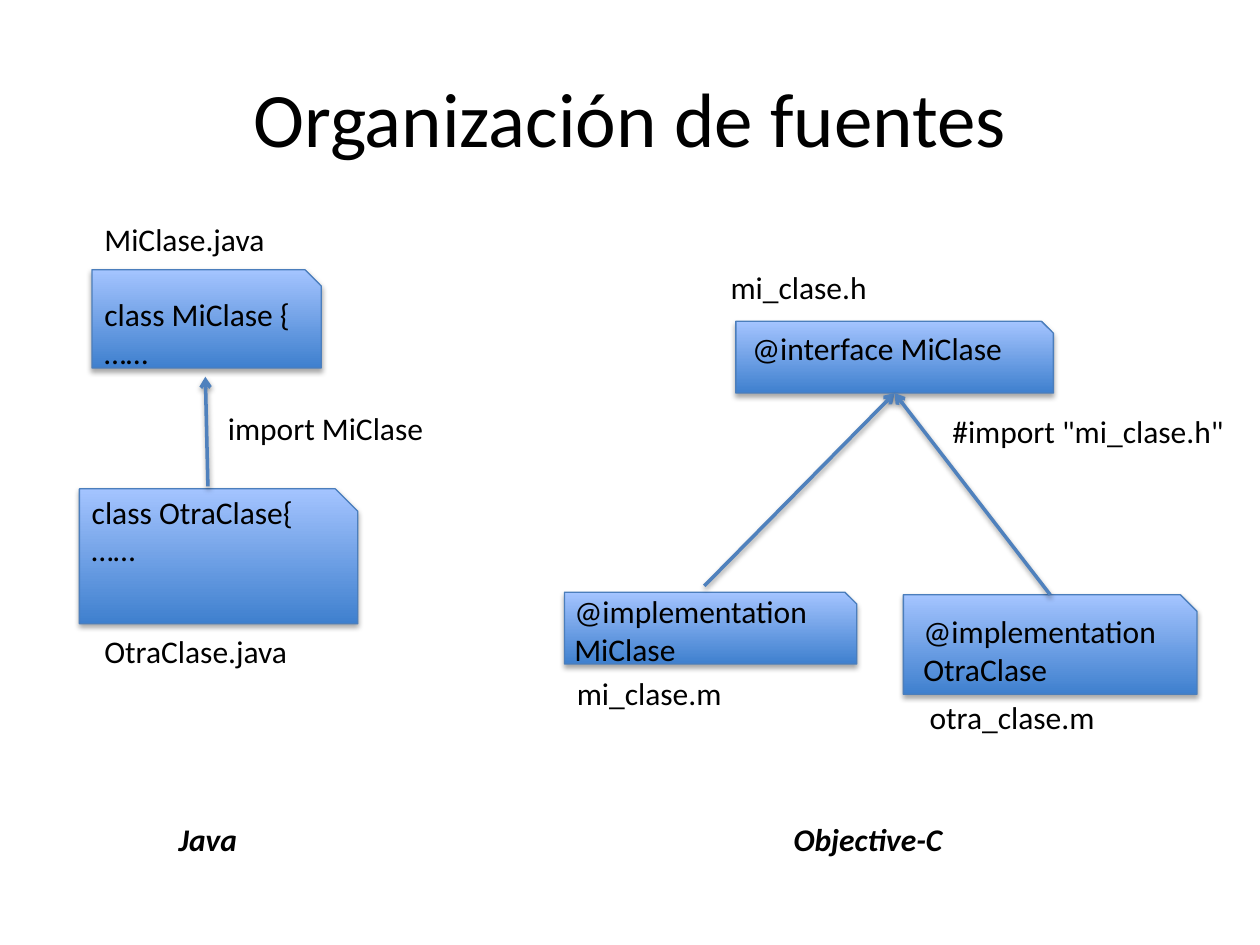
import dataclasses

import lxml.etree
import pptx
import pptx.dml.color
import pptx.enum.shapes
import pptx.enum.text
import pptx.oxml.ns
import pptx.util


@dataclasses.dataclass(frozen=True)
class Theme:
    font: str = "Calibri"
    ink: str = "000000"
    gradient: tuple = ("3F80CE", "A4C4FF")
    outline: str = "4B7EBC"
    arrow: str = "4F81BD"
    title_size: float = 44
    body_size: float = 18
    outline_width: float = 0.75
    arrow_width: float = 2


def rgb(value):
    return pptx.dml.color.RGBColor.from_string(value)


class SourceDiagram:
    """Draws file boxes, labels and import arrows on a 100 by 75 grid."""

    def __init__(self, presentation, theme):
        self.theme = theme
        self.column = presentation.slide_width / 100
        self.row = presentation.slide_height / 75
        self.slide = presentation.slides.add_slide(presentation.slide_layouts[5])

    def place(self, *cells):
        units = (self.column, self.row) * 2
        return [round(cell * unit) for cell, unit in zip(cells, units)]

    def add_text(self, paragraph, text, size, emphasis=None):
        run = paragraph.add_run()
        run.text = text
        run.font.name = self.theme.font
        run.font.size = pptx.util.Pt(size)
        run.font.color.rgb = rgb(self.theme.ink)
        run.font.bold = run.font.italic = emphasis

    def shade(self, effects, opacity, distance):
        tag = pptx.oxml.ns.qn
        shadow = lxml.etree.SubElement(
            effects, tag("a:outerShdw"), blurRad=str(pptx.util.Pt(3.1)),
            dist=str(pptx.util.Pt(distance)), dir="5400000", rotWithShape="0")
        tint = lxml.etree.SubElement(shadow, tag("a:srgbClr"), val="000000")
        lxml.etree.SubElement(tint, tag("a:alpha"), val=str(opacity * 1000))

    def title(self, text, *cells):
        heading = self.slide.shapes.title
        heading.left, heading.top, heading.width, heading.height = self.place(*cells)
        frame = heading.text_frame
        frame.vertical_anchor = pptx.enum.text.MSO_ANCHOR.MIDDLE
        frame.paragraphs[0].alignment = pptx.enum.text.PP_ALIGN.CENTER
        self.add_text(frame.paragraphs[0], text, self.theme.title_size)

    def label(self, lines, left, top, width, rows=4, emphasis=None):
        frame = self.slide.shapes.add_textbox(*self.place(left, top, width, rows)).text_frame
        frame.word_wrap = not emphasis
        frame.auto_size = pptx.enum.text.MSO_AUTO_SIZE.SHAPE_TO_FIT_TEXT
        for index, line in enumerate(lines):
            paragraph = frame.add_paragraph() if index else frame.paragraphs[0]
            self.add_text(paragraph, line, self.theme.body_size, emphasis)

    def file_box(self, *cells):
        box = self.slide.shapes.add_shape(
            pptx.enum.shapes.MSO_SHAPE.SNIP_1_RECTANGLE, *self.place(*cells))
        box.fill.gradient()
        box.fill.gradient_angle = 90
        for position, (stop, color) in enumerate(
                zip(box.fill.gradient_stops, self.theme.gradient)):
            stop.color.rgb = rgb(color)
            stop.position = position
        box.line.color.rgb = rgb(self.theme.outline)
        box.line.width = pptx.util.Pt(self.theme.outline_width)
        box.shadow.inherit = False
        self.shade(box._element.spPr.find(pptx.oxml.ns.qn("a:effectLst")), 35, 1.8)
        return box

    def arrow(self, start, end, source=None, target=None):
        tag = pptx.oxml.ns.qn
        link = self.slide.shapes.add_connector(
            pptx.enum.shapes.MSO_CONNECTOR.STRAIGHT, *self.place(*start, *end))
        if source is not None:
            link.begin_connect(source, 0)
        if target is not None:
            link.end_connect(target, 2)
        link.line.color.rgb = rgb(self.theme.arrow)
        link.line.width = pptx.util.Pt(self.theme.arrow_width)
        properties = link._element.spPr
        lxml.etree.SubElement(properties.find(tag("a:ln")), tag("a:tailEnd"), type="arrow")
        self.shade(lxml.etree.SubElement(properties, tag("a:effectLst")), 38, 1.6)


def main():
    presentation = pptx.Presentation()
    presentation.slide_width = pptx.util.Inches(10)
    presentation.slide_height = pptx.util.Inches(7.5)
    diagram = SourceDiagram(presentation, Theme())
    diagram.title("Organización de fuentes", 5, 3, 90, 12.5)

    diagram.file_box(7.3, 21.4, 18.2, 7.8)
    diagram.file_box(6.3, 38.8, 22.1, 10.7)
    interface = diagram.file_box(58.4, 25.5, 25.2, 5.7)
    diagram.file_box(44.8, 47, 23.2, 5.7)
    other_implementation = diagram.file_box(71.7, 47.2, 23.3, 7.9)

    diagram.arrow((16.5, 38.6), (16.3, 29.9))
    diagram.arrow((55.9, 46.5), (71, 31.2), target=interface)
    diagram.arrow((83.4, 47.2), (71, 31.2), other_implementation, interface)

    for code, left, top, width, rows in (
        (("class MiClase {", "……"), 7.3, 22.9, 18.2, 7.1),
        (("class OtraClase{", "……"), 6.3, 38.6, 20.3, 7.1),
        (("@interface MiClase",), 58.7, 25.6, 24.9, 4),
        (("@implementation MiClase",), 44.6, 46.5, 22.7, 7.1),
        (("@implementation OtraClase",), 72.3, 48.1, 22.7, 7.1),
    ):
        diagram.label(code, left, top, width, rows)

    for caption, left, top, width in (
        ("MiClase.java", 7.3, 17, 18.2),
        ("OtraClase.java", 7.3, 49.7, 18.2),
        ("import MiClase", 17.1, 32, 18.2),
        ("mi_clase.h", 57, 20.8, 22.7),
        ("mi_clase.m", 44.8, 53, 22.7),
        ("otra_clase.m", 72.8, 54.9, 22.7),
        ('#import "mi_clase.h"', 74.6, 32.2, 25.8),
    ):
        diagram.label((caption,), left, top, width)

    for language, left, width in (("Java", 13.2, 7.3), ("Objective-C", 62, 14.6)):
        diagram.label((language,), left, 64.6, width, emphasis=True)

    presentation.save("out.pptx")


if __name__ == "__main__":
    main()
